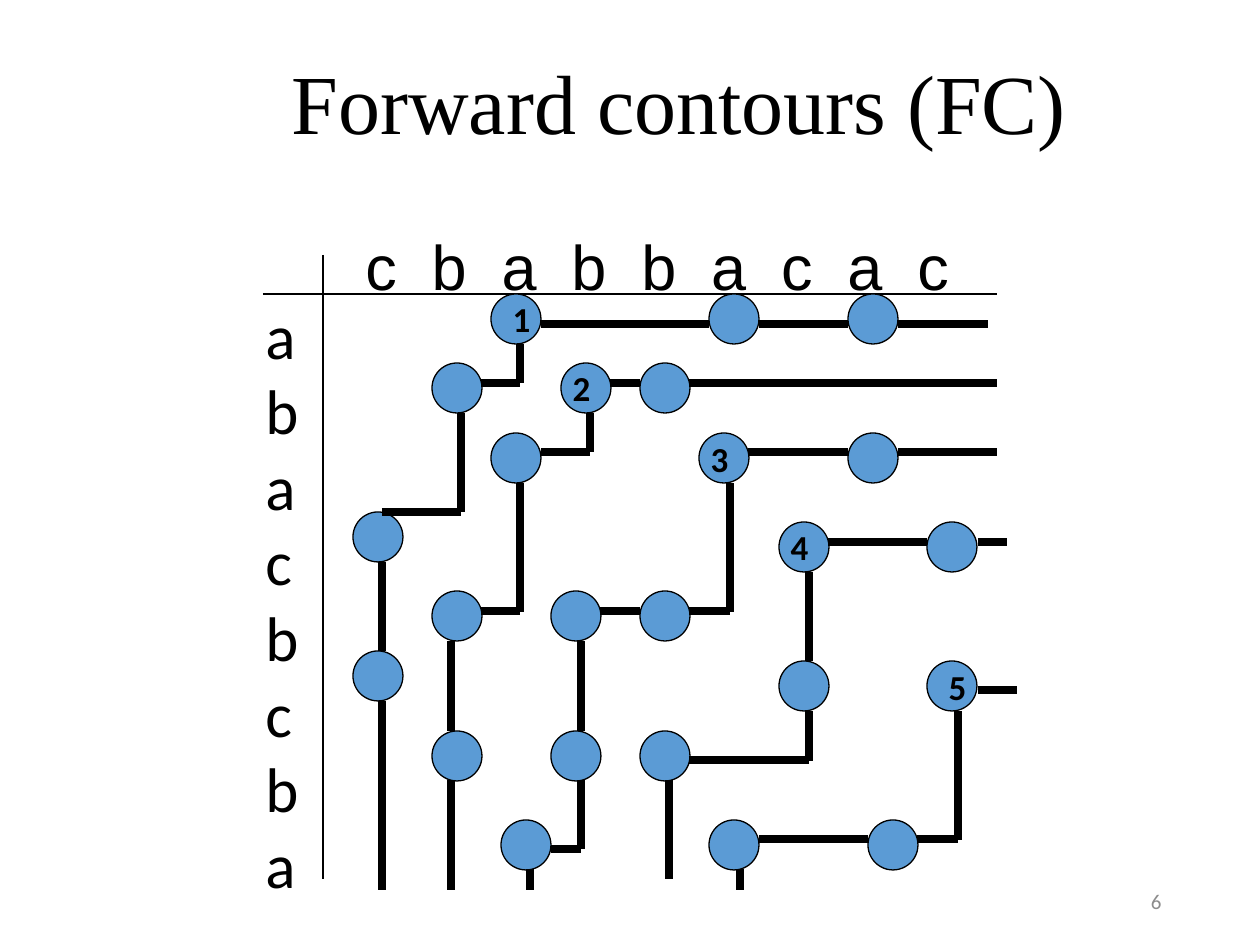
from lxml.etree import SubElement
from pptx import Presentation
from pptx.dml.color import RGBColor
from pptx.enum.shapes import MSO_CONNECTOR, MSO_SHAPE
from pptx.enum.text import MSO_ANCHOR, PP_ALIGN
from pptx.oxml.ns import qn
from pptx.util import Pt

PX = 914400 / 126
BLACK = RGBColor(0, 0, 0)
GREY = RGBColor(0x8C, 0x8C, 0x8C)
BLUE = RGBColor(0x5B, 0x9B, 0xD5)
DIAMETER = 50
THIN, THICK = Pt(0.75), Pt(4.5)

TITLE = "Forward contours (FC)"
COLUMN_LETTERS = "cbabbacac"
ROW_LETTERS = "abacbcba"
PAGE_NUMBER = "6"

AXES = [(263, 294, 997, 294), (323, 255, 323, 879)]
MATCHES = {
    294: [709, 848, 491],
    363: [432, 561, 640],
    433: [491, 699, 848],
    512: [353],
    522: [779, 927],
    591: [432, 551, 640],
    651: [353],
    661: [927, 779],
    731: [432, 551, 640],
    820: [501, 709, 868],
}
VERTICAL_RUNS = {
    382: [(562, 651), (701, 890)],
    451: [(641, 731), (780, 890)],
    461: [(413, 512)],
    520: [(344, 383), (483, 612)],
    530: [(869, 890)],
    581: [(641, 731), (780, 849)],
    590: [(413, 452)],
    669: [(780, 879)],
    730: [(483, 612)],
    740: [(869, 890)],
    809: [(572, 661), (711, 761)],
    958: [(711, 840)],
}
HORIZONTAL_RUNS = {
    324: [(541, 709), (759, 848), (898, 988)],
    383: [(481, 520), (610, 640), (689, 997)],
    452: [(541, 590), (748, 848), (898, 997)],
    512: [(382, 461)],
    542: [(828, 927), (978, 1007)],
    611: [(481, 520), (600, 640), (689, 730)],
    690: [(978, 1017)],
    760: [(689, 809)],
    839: [(759, 868), (917, 958)],
    849: [(551, 581)],
}
CONTOUR_NUMBERS = [(481, 291), (541, 360), (679, 431), (759, 519), (917, 659)]

TITLE_FONT = {"name": "Times New Roman", "size": Pt(48)}
COLUMN_FONT = {"name": "Arial", "size": Pt(36)}
ROW_FONT = {"name": "Calibri", "size": Pt(36)}
NUMBER_FONT = {"name": "Calibri", "size": Pt(20), "bold": True}
PAGE_FONT = {"name": "Calibri", "size": Pt(12)}


def emu(*lengths):
    return [round(length * PX) for length in lengths]


def set_values(target, values):
    for name, value in values.items():
        setattr(target, name, value)


def add_text(slide, place, lines, font, color=BLACK, paragraph_format=None, frame_format=None):
    frame = slide.shapes.add_textbox(*emu(*place)).text_frame
    set_values(frame, {"word_wrap": True, **(frame_format or {})})
    frame.text = "\n".join(lines)
    for paragraph in frame.paragraphs:
        set_values(paragraph, paragraph_format or {})
        for run in paragraph.runs:
            set_values(run.font, font)
            run.font.color.rgb = color
    return frame


def add_line(slide, ends, width):
    line = slide.shapes.add_connector(MSO_CONNECTOR.STRAIGHT, *emu(*ends))
    line.line.color.rgb = BLACK
    line.line.width = width
    SubElement(line._element.spPr, qn("a:effectLst"))


def add_match(slide, left, top):
    match = slide.shapes.add_shape(MSO_SHAPE.OVAL, *emu(left, top, DIAMETER, DIAMETER))
    match.shadow.inherit = False
    match.fill.solid()
    match.fill.fore_color.rgb = BLUE
    match.line.color.rgb = BLACK
    match.line.width = THIN


def main():
    """Build the slide of forward contours over a grid of letter matches."""
    deck = Presentation()
    deck.slide_width, deck.slide_height = emu(1260, 945)
    slide = deck.slides.add_slide(deck.slide_layouts[6])

    for ends in AXES:
        add_line(slide, ends, THIN)

    lowered = {"margin_top": emu(14)[0]}
    header = add_text(slide, (353, 214, 665, 100), [" ".join(COLUMN_LETTERS)],
                      COLUMN_FONT, frame_format=lowered)
    header.paragraphs[0].runs[0]._r.get_or_add_rPr().set("spc", "500")
    add_text(slide, (253, 290, 110, 694), ROW_LETTERS, ROW_FONT)
    add_text(slide, (218, 48, 922, 100), [TITLE], TITLE_FONT, frame_format=lowered,
             paragraph_format={"alignment": PP_ALIGN.CENTER, "line_spacing": 0.9})

    for top, lefts in MATCHES.items():
        for left in lefts:
            add_match(slide, left, top)
    for x, runs in VERTICAL_RUNS.items():
        for start, end in runs:
            add_line(slide, (x, start, x, end), THICK)
    for y, runs in HORIZONTAL_RUNS.items():
        for start, end in runs:
            add_line(slide, (start, y, end, y), THICK)

    for number, (left, top) in enumerate(CONTOUR_NUMBERS, 1):
        add_text(slide, (left, top, 81, 54), [str(number)], NUMBER_FONT,
                 paragraph_format={"alignment": PP_ALIGN.CENTER})
    add_text(slide, (890, 876, 284, 50), [PAGE_NUMBER], PAGE_FONT, GREY,
             {"alignment": PP_ALIGN.RIGHT}, {"vertical_anchor": MSO_ANCHOR.MIDDLE})

    deck.save("out.pptx")


if __name__ == "__main__":
    main()
